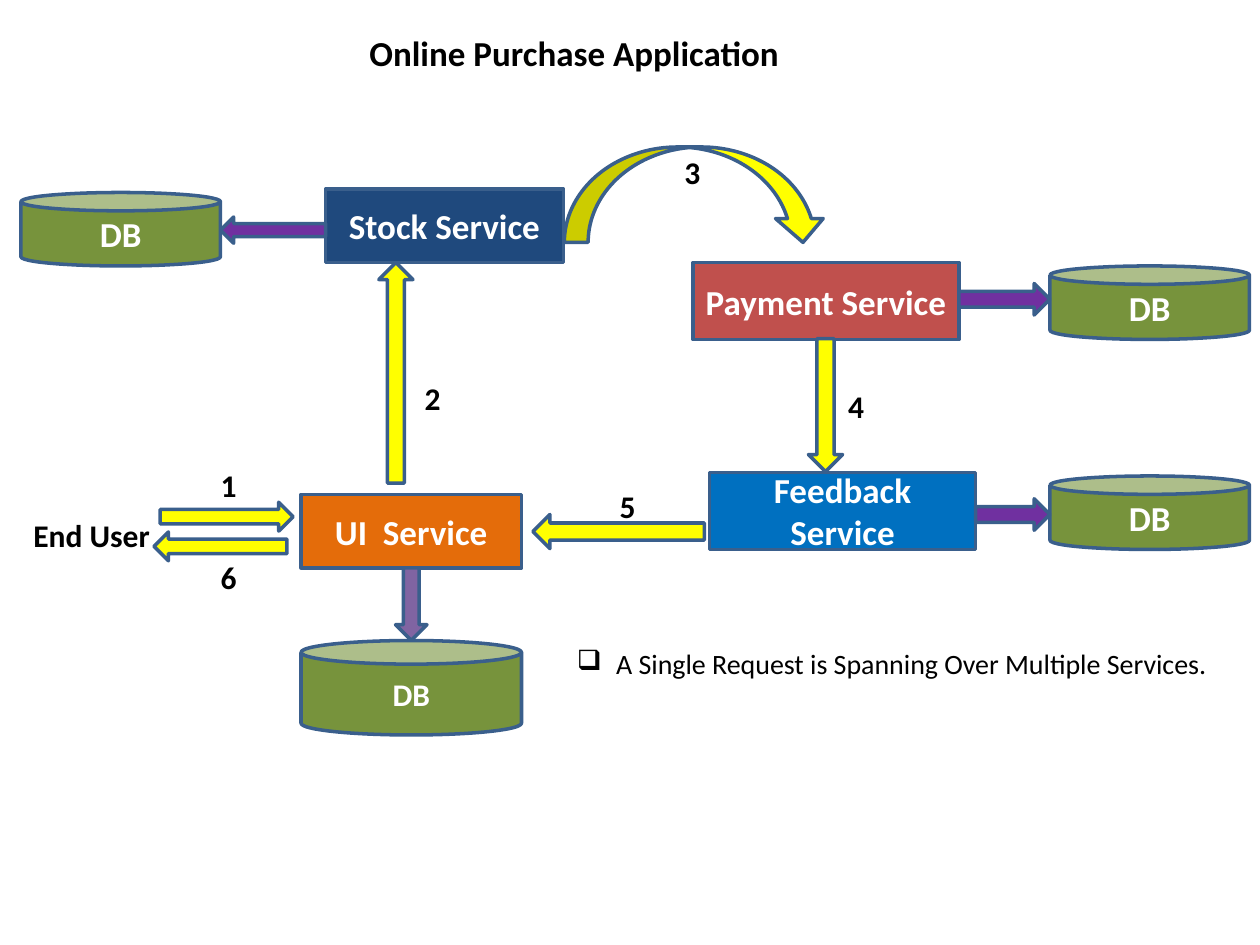
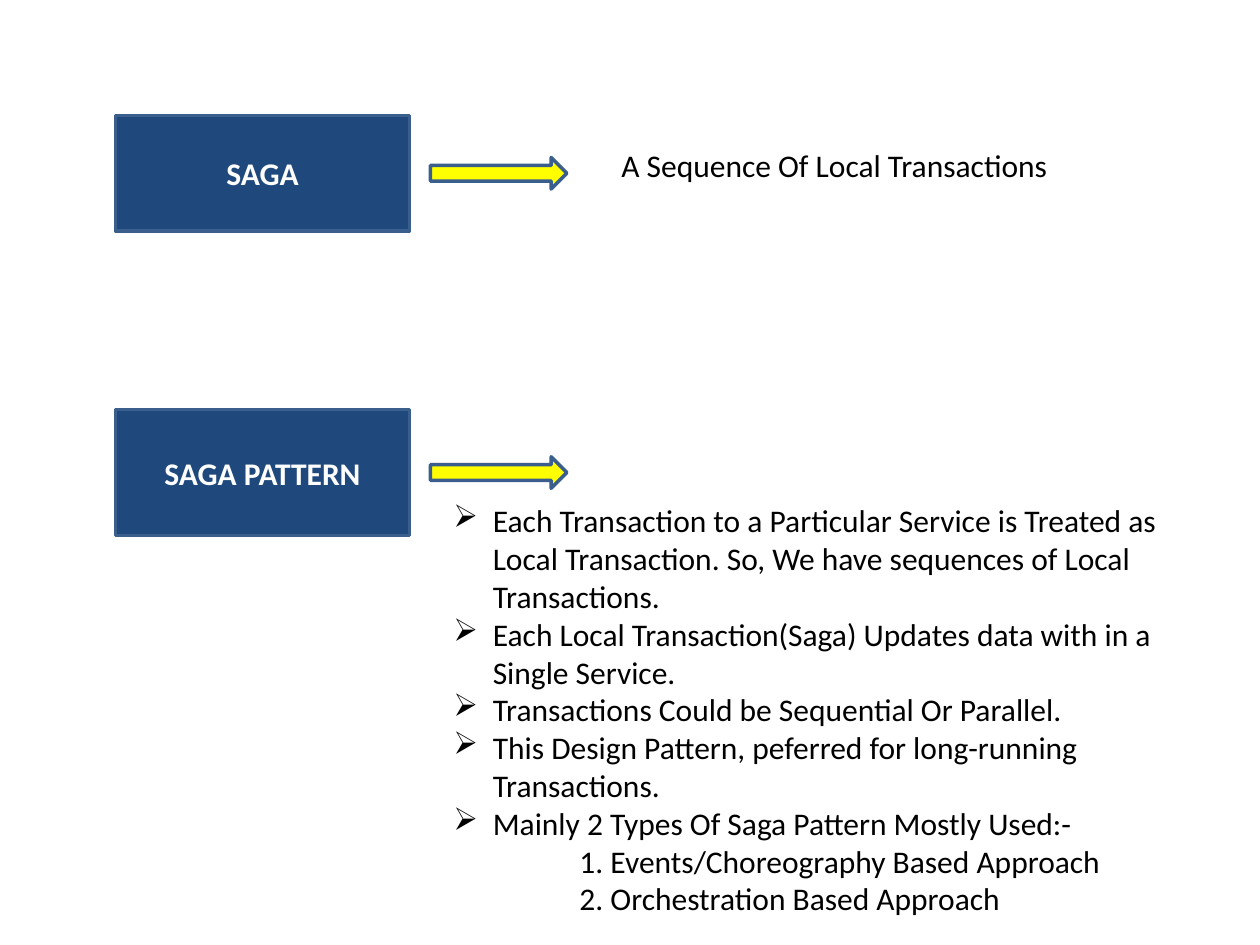
from lxml.etree import SubElement
from pptx import Presentation
from pptx.dml.color import RGBColor
from pptx.enum.shapes import MSO_SHAPE
from pptx.enum.text import MSO_ANCHOR, PP_ALIGN
from pptx.oxml.ns import qn
from pptx.util import Pt

# Shared look
BLACK, WHITE, OUTLINE = "000000", "FFFFFF", "3A5F8C"
NAVY, ORANGE, RED, BLUE = "1F497D", "E46C0A", "C0504D", "0070C0"
GREEN, YELLOW, PURPLE, LILAC = "77933C", "FFFF00", "7030A0", "8064A2"

TITLE = {"size": Pt(20), "bold": True}
LABEL = {"size": Pt(18), "bold": True}
BODY = {"size": Pt(18), "bold": False}
NOTE = {"size": Pt(16), "bold": False}
BULLET_INDENT = 22.5


def color(hex_text):
    return RGBColor.from_string(hex_text)


def lengths(box):
    return [Pt(value) for value in box]


def write(para, text, look, ink):
    span = para.add_run()
    span.text = text
    span.font.color.rgb = color(ink)
    for name, value in {"name": "Calibri", **look}.items():
        setattr(span.font, name, value)


def indent(para, left, bullet=None):
    properties = para._p.get_or_add_pPr()
    properties.set("marL", str(Pt(left)))
    if bullet:
        properties.set("indent", str(-Pt(left)))
        SubElement(properties, qn("a:buChar"), char=bullet)


def add_text(page, box, lines, look, wrap=True):
    """Each line is (text, left indent, bullet)."""
    frame = page.shapes.add_textbox(*lengths(box)).text_frame
    frame.word_wrap = wrap
    for index, (text, left, bullet) in enumerate(lines):
        para = frame.add_paragraph() if index else frame.paragraphs[0]
        if left:
            indent(para, left, bullet)
        write(para, text, look, BLACK)


def plain(text):
    return [(text, 0, None)]


def add_block(page, kind, box, fill, text="", look=TITLE):
    shape = page.shapes.add_shape(kind, *lengths(box))
    shape.shadow.inherit = False
    shape.fill.solid()
    shape.fill.fore_color.rgb = color(fill)
    shape.line.color.rgb = color(OUTLINE)
    shape.line.width = Pt(2)
    if text:
        frame = shape.text_frame
        frame.word_wrap = True
        frame.vertical_anchor = MSO_ANCHOR.MIDDLE
        para = frame.paragraphs[0]
        para.alignment = PP_ALIGN.CENTER
        write(para, text, look, WHITE)


def service_beside_database(page, area, name, fill, size, arrow, database_left=False):
    """A service and its database at opposite ends of the area."""
    left, top, width, height = area
    service_width, service_height = size
    arrow_top, arrow_height = arrow
    database_width, database_height = 114, 42
    gap = width - service_width - database_width
    if database_left:
        database_x, arrow_x, service_x = left, left + database_width, left + width - service_width
        arrow_kind = MSO_SHAPE.LEFT_ARROW
    else:
        service_x, arrow_x, database_x = left, left + service_width, left + width - database_width
        arrow_kind = MSO_SHAPE.RIGHT_ARROW
    add_block(page, MSO_SHAPE.RECTANGLE, (service_x, top, service_width, service_height), fill, name)
    add_block(page, MSO_SHAPE.CAN,
              (database_x, top + height - database_height, database_width, database_height),
              GREEN, "DB")
    add_block(page, arrow_kind, (arrow_x, top + arrow_top, gap, arrow_height), PURPLE)


def service_above_database(page, area, name, fill):
    """A service on top of the area with its database at the bottom."""
    left, top, width, height = area
    service_height, database_height, arrow_width = 42, 54, 18
    add_block(page, MSO_SHAPE.RECTANGLE, (left, top, width, service_height), fill, name)
    add_block(page, MSO_SHAPE.CAN,
              (left, top + height - database_height, width, database_height), GREEN, "DB", LABEL)
    add_block(page, MSO_SHAPE.DOWN_ARROW,
              (left + (width - arrow_width) / 2, top + service_height,
               arrow_width, height - service_height - database_height), LILAC)


def request_step(page, box, number, kind, label_offset):
    """A yellow arrow with its step number placed from the arrow's corner."""
    add_block(page, kind, box, YELLOW)
    label_box = (box[0] + label_offset[0], box[1] + label_offset[1], 24, 29)
    add_text(page, label_box, plain(str(number)), LABEL, wrap=False)


def concept(page, box, name, text_offset, text_size, lines):
    """A named box, an arrow at its middle and the explanation."""
    left, top, width, height = box
    add_block(page, MSO_SHAPE.RECTANGLE, box, NAVY, name, LABEL)
    add_block(page, MSO_SHAPE.RIGHT_ARROW, (left + width + 12, top + height / 2 - 9, 78, 18), YELLOW)
    text_box = (left + text_offset[0], top + text_offset[1], *text_size)
    add_text(page, text_box, lines, BODY)


def application_slide(page):
    add_text(page, (204, 14.4, 342, 32), plain("Online Purchase Application"), TITLE)

    # Services and their databases
    service_above_database(page, (172, 282.5, 126, 137.5), "UI  Service", ORANGE)
    service_beside_database(page, (12, 108, 310, 44), "Stock Service", NAVY,
                            (136, 42), (16, 15), database_left=True)
    service_beside_database(page, (396, 150, 318, 44), "Payment Service", RED, (152, 44), (12, 18))
    service_beside_database(page, (405.5, 270, 308.5, 44), "Feedback Service", BLUE,
                            (152, 44), (15, 18))

    # Path of the request
    add_text(page, (12, 291.5, 84, 29), plain("End User"), LABEL)
    steps = [
        ((91.5, 287, 76, 16.5), MSO_SHAPE.RIGHT_ARROW, (27.5, -24)),
        ((216.5, 150, 19.5, 126), MSO_SHAPE.UP_ARROW, (19, 63)),
        ((322.5, 84, 150, 54.5), MSO_SHAPE.CURVED_DOWN_ARROW, (61.5, 0)),
        ((462, 193.5, 19.5, 76), MSO_SHAPE.DOWN_ARROW, (15.5, 24)),
        ((304.5, 294, 98, 19.5), MSO_SHAPE.LEFT_ARROW, (42.5, -19.5)),
        ((88, 304, 76, 16.5), MSO_SHAPE.LEFT_ARROW, (31, 11.5)),
    ]
    for number, (box, kind, label_offset) in enumerate(steps, 1):
        request_step(page, box, number, kind, label_offset)

    note = "A Single Request is Spanning Over Multiple Services."
    add_text(page, (322.5, 366, 392, 27), [(note, BULLET_INDENT, "❑")], NOTE)


def saga_slide(page):
    concept(page, (66, 66, 168, 66), "SAGA", (282, 14), (336, 29),
            plain("A Sequence Of Local Transactions"))

    # Points, followed by the two approaches
    points = [
        "Each Transaction to a Particular Service is Treated as Local Transaction. "
        "So, We have sequences of Local Transactions.",
        "Each Local Transaction(Saga) Updates data with in a Single Service.",
        "Transactions Could be Sequential Or Parallel.",
        "This Design Pattern, peferred for long-running Transactions.",
        "Mainly 2 Types Of Saga Pattern Mostly Used:-",
    ]
    approaches = ["1. Events/Choreography Based Approach", "2. Orchestration Based Approach"]
    lines = [(text, BULLET_INDENT, "➢") for text in points]
    lines += [(text, 72, None) for text in approaches]
    concept(page, (66, 234, 168, 72), "SAGA PATTERN", (186, 49), (444, 247), lines)


def main():
    deck = Presentation()
    deck.slide_width, deck.slide_height = Pt(720), Pt(540)
    blank = deck.slide_layouts[6]
    for build in (application_slide, saga_slide):
        build(deck.slides.add_slide(blank))
    deck.save("out.pptx")


if __name__ == "__main__":
    main()
